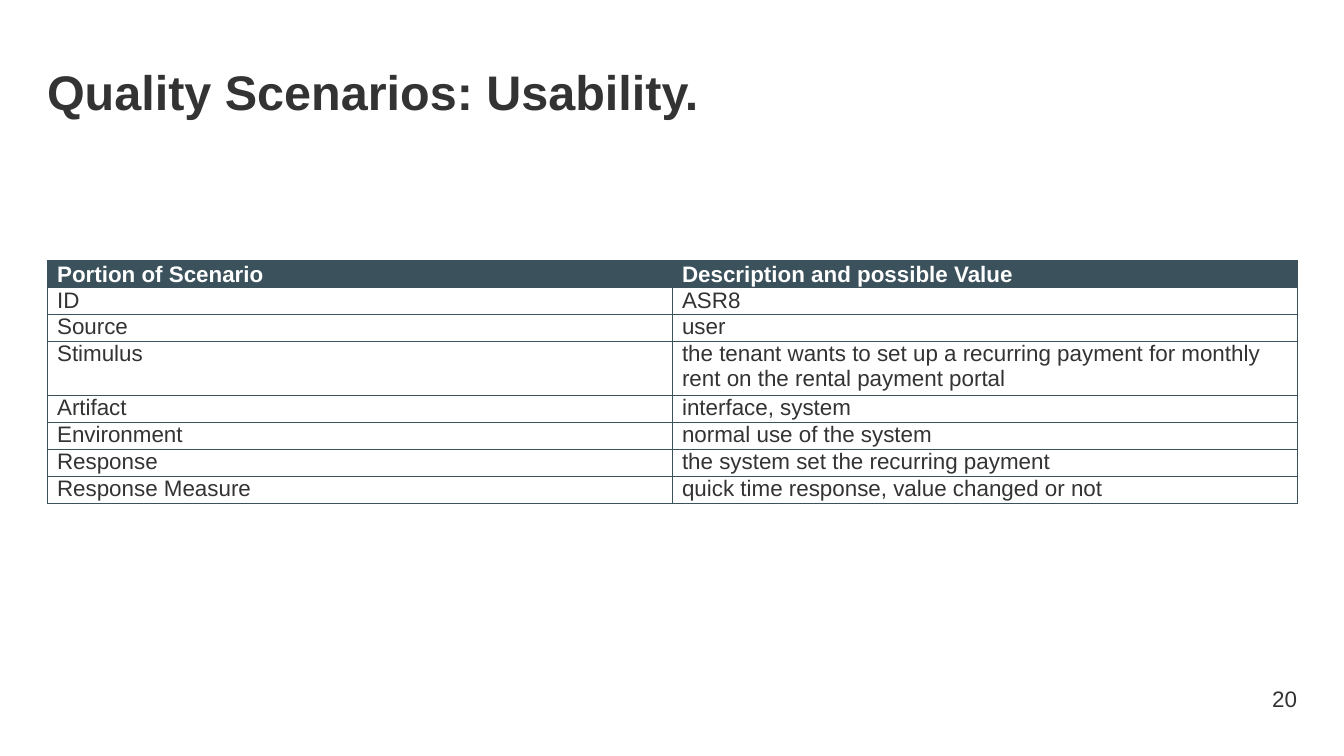
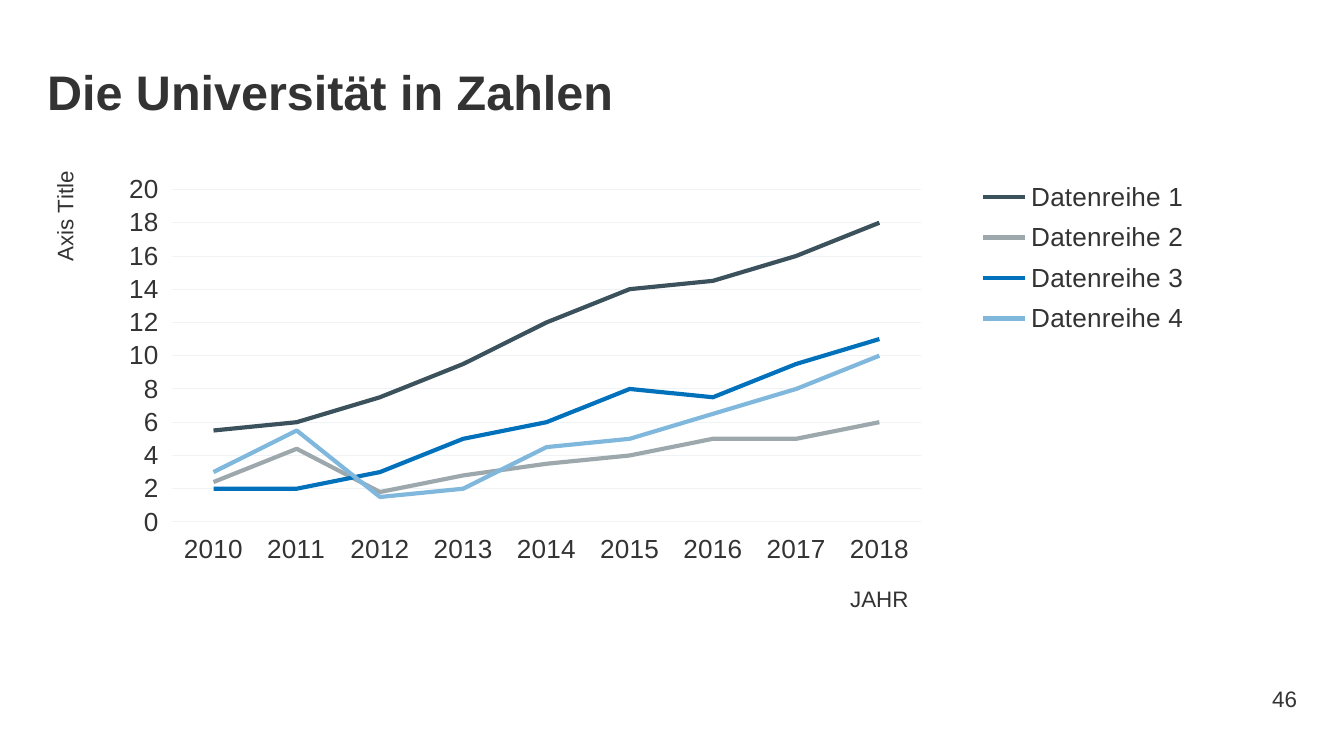
from lxml import etree
from pptx import Presentation
from pptx.chart.data import CategoryChartData
from pptx.dml.color import RGBColor
from pptx.enum.chart import XL_CHART_TYPE, XL_LEGEND_POSITION
from pptx.enum.text import MSO_ANCHOR, PP_ALIGN
from pptx.oxml import parse_xml
from pptx.oxml.ns import nsdecls, qn
from pptx.util import Inches, Pt

LINE = XL_CHART_TYPE.LINE
SIDE = XL_LEGEND_POSITION.RIGHT
TOP, MIDDLE, BOTTOM = MSO_ANCHOR.TOP, MSO_ANCHOR.MIDDLE, MSO_ANCHOR.BOTTOM
LEFT, RIGHT = PP_ALIGN.LEFT, PP_ALIGN.RIGHT

FONT = "Arial"
INK = RGBColor(0x33, 0x33, 0x33)
WHITE = RGBColor(0xFF, 0xFF, 0xFF)
SLATE = RGBColor(0x3B, 0x51, 0x5B)
GREY = RGBColor(0x9D, 0xA8, 0xAD)
BLUE = RGBColor(0x02, 0x71, 0xBB)
SKY = RGBColor(0x80, 0xB8, 0xDD)
GRID = RGBColor(0xF0, 0xF3, 0xF6)
EDGE, WIDE = 0.35, 9.29


def write(frame, text, size=12, color=INK, bold=False, align=LEFT, space=None, after=0):
    para = frame.paragraphs[0]
    para.alignment = align
    para.space_after = Pt(after)
    if space:
        para.line_spacing = space
    run = para.add_run()
    run.text = text
    font = run.font
    font.name, font.size, font.bold = FONT, Pt(size), bold
    font.color.rgb = color


def place(node, index, **spots):
    for old in node.findall(qn("c:layout")):
        node.remove(old)
    layout = parse_xml(f"<c:layout {nsdecls('c')}/>")
    manual = etree.SubElement(layout, qn("c:manualLayout"))
    for tag, value in spots.items():
        etree.SubElement(manual, qn(f"c:{tag}")).set("val", str(value))
    node.insert(index, layout)


deck = Presentation()
deck.slide_width = Inches(10)
deck.slide_height = deck.slide_width * 9 // 16

slides = []
for title, number in (("Quality Scenarios: Usability.", "20"), ("Die Universität in Zahlen", "46")):
    slide = deck.slides.add_slide(deck.slide_layouts[6])
    slides.append(slide)
    head = slide.shapes.add_textbox(Inches(EDGE), Inches(0.37), Inches(WIDE), Inches(0.63)).text_frame
    foot = slide.shapes.add_textbox(Inches(8.93), Inches(5.05), Inches(0.72), Inches(0.3)).text_frame
    head.margin_left = foot.margin_right = 0
    for frame, anchor in ((head, TOP), (foot, MIDDLE)):
        frame.word_wrap = True
        frame.vertical_anchor = anchor
    write(head, title, size=26, bold=True, space=1.1)
    write(foot, number, align=RIGHT)

rows = (
    ("Portion of Scenario", "Description and possible Value"),
    ("ID", "ASR8"),
    ("Source", "user"),
    ("Stimulus", "the tenant wants to set up a recurring payment for monthly rent on the rental payment portal"),
    ("Artifact", "interface, system"),
    ("Environment", "normal use of the system"),
    ("Response", "the system set the recurring payment"),
    ("Response Measure", "quick time response, value changed or not"),
)
grid = slides[0].shapes.add_table(
    len(rows), 2, Inches(EDGE), Inches(1.94), Inches(WIDE), Inches(1.8))
table = grid.table
table.horz_banding = False
for col in table.columns:
    col.width = Inches(4.65)
for r, row in enumerate(rows):
    table.rows[r].height = 0
    for c, text in enumerate(row):
        cell = table.cell(r, c)
        cell.margin_left = cell.margin_right = Pt(5.4)
        cell.margin_top = cell.margin_bottom = 0
        cell.vertical_anchor = TOP if r else BOTTOM
        for side in "LRTB":
            cell._tc.get_or_add_tcPr().append(parse_xml(
                f'<a:ln{side} {nsdecls("a")} w="{Pt(0.5)}"><a:solidFill>'
                f'<a:srgbClr val="{SLATE}"/></a:solidFill></a:ln{side}>'))
        if r:
            cell.fill.background()
            write(cell.text_frame, text, after=10)
        else:
            cell.fill.solid()
            cell.fill.fore_color.rgb = SLATE
            write(cell.text_frame, text, color=WHITE, bold=True, after=1.8)
grid.height = Inches(1.8)

series = (
    (SLATE, (5.5, 6, 7.5, 9.5, 12, 14, 14.5, 16, 18)),
    (GREY, (2.4, 4.4, 1.8, 2.8, 3.5, 4, 5, 5, 6)),
    (BLUE, (2, 2, 3, 5, 6, 8, 7.5, 9.5, 11)),
    (SKY, (3, 5.5, 1.5, 2, 4.5, 5, 6.5, 8, 10)),
)
data = CategoryChartData()
data.categories = [str(year) for year in range(2010, 2019)]
for n, (color, values) in enumerate(series, 1):
    data.add_series(f"Datenreihe {n}", values)
chart = slides[1].shapes.add_chart(
    LINE, Inches(EDGE), Inches(1.24), Inches(WIDE), Inches(3.39), data).chart
chart.has_title = False
chart.font.name, chart.font.size = FONT, Pt(18)
chart.font.color.rgb = INK
plot = chart.plots[0]
plot.vary_by_categories = False
for item, (color, values) in zip(plot.series, series):
    item.smooth = False
    item.format.line.width = Pt(2.25)
    item.format.line.color.rgb = color

years, scale = chart.category_axis, chart.value_axis
scale.minimum_scale, scale.maximum_scale, scale.major_unit = 0, 20, 2
scale.major_gridlines.format.line.color.rgb = GRID
scale.major_gridlines.format.line.width = Pt(0.5)
for axis, text, x, y in ((years, "JAHR", 0.64, 0.91), (scale, "Axis Title", 0, 0)):
    axis.format.line.fill.background()
    label = axis.tick_labels.font
    label.name, label.size = FONT, Pt(14)
    label.color.rgb = INK
    write(axis.axis_title.text_frame, text)
    place(axis.axis_title._element, 1, xMode="edge", yMode="edge", x=x, y=y)
turn = scale.axis_title.text_frame._txBody.find(qn("a:bodyPr"))
turn.set("rot", "-5400000")
turn.set("vert", "horz")

chart.has_legend = True
legend = chart.legend
legend.position = SIDE
legend.include_in_layout = False
legend.font.name, legend.font.size = FONT, Pt(14)
legend.font.color.rgb = INK
place(legend._element, 1, xMode="edge", yMode="edge", x=0.73, y=0.01, w=0.2, h=0.38)
area = chart._chartSpace.find(".//" + qn("c:plotArea"))
place(area, 0, layoutTarget="inner", xMode="edge", yMode="edge", x=0.1, y=0.05, w=0.6, h=0.73)

deck.save("out.pptx")
